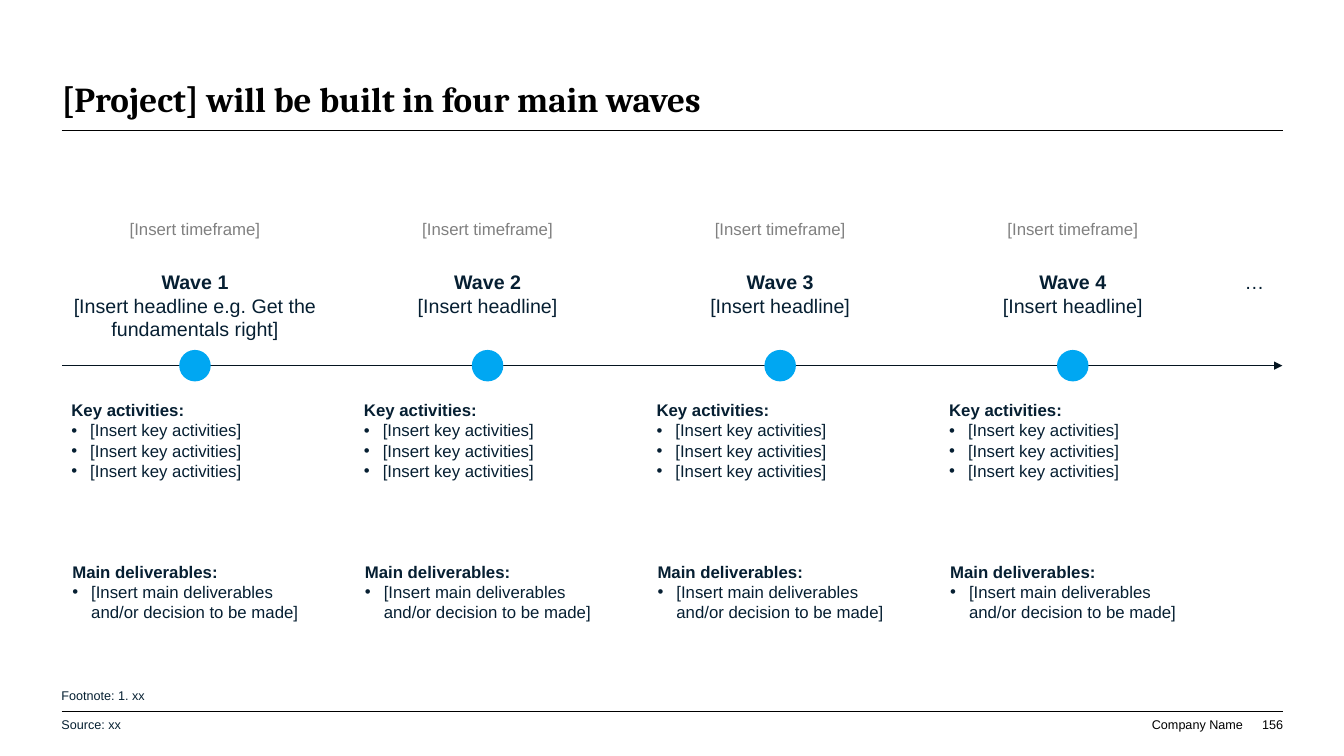
from lxml import etree
from pptx import Presentation
from pptx.dml.color import RGBColor
from pptx.enum import shapes, text
from pptx.oxml import ns
from pptx.util import Pt

HUES = {"black": "000000", "navy": "061F32", "note": "062032",
        "axis": "041420", "gray": "808080", "blue": "00A7F2"}
INSET = (7.2, 3.6, 7.2, 3.6)
FLUSH = (0, 0, 0, 0)
LEFT, RIGHT = 44, 916.5
FIRST, STEP = 139.3, 209      # centre of the first wave, gap between waves
AXIS, DOT = 261.2, 22.5
HEADS = ["[Insert headline e.g. Get the fundamentals right]"] + ["[Insert headline]"] * 3
LISTS = [
    (-95.4, 282.2, "Key activities:", ["[Insert key activities]"] * 3),
    (-94.7, 397.7, "Main deliverables:",
     ["[Insert main deliverables and/or decision to be made]"]),
]


def color(name):
    return RGBColor.from_string(HUES[name])


def add_bullet(para):
    props = para._p.get_or_add_pPr()
    props.set("marL", str(Pt(13.5)))
    props.set("indent", str(-Pt(13.5)))
    font = etree.SubElement(props, ns.qn("a:buFont"))
    font.set("typeface", "Arial")
    mark = etree.SubElement(props, ns.qn("a:buChar"))
    mark.set("char", "•")


def add_text(slide, box, lines, size, hue, face="Arial", align="LEFT",
             anchor="TOP", inset=INSET, wrap=True):
    """Each line is a tuple: words, bold, bullet."""
    frame = slide.shapes.add_textbox(*map(Pt, box)).text_frame
    left, top, right, low = map(Pt, inset)
    form = {"word_wrap": wrap, "vertical_anchor": getattr(text.MSO_ANCHOR, anchor),
            "margin_left": left, "margin_top": top,
            "margin_right": right, "margin_bottom": low}
    for key, value in form.items():
        setattr(frame, key, value)
    for i, (words, bold, bullet) in enumerate(lines):
        para = frame.add_paragraph() if i else frame.paragraphs[0]
        para.alignment = getattr(text.PP_ALIGN, align)
        if bullet:
            add_bullet(para)
        run = para.add_run()
        run.text = words
        for key, value in {"name": face, "size": Pt(size), "bold": bold}.items():
            setattr(run.font, key, value)
        run.font.color.rgb = color(hue)


def add_line(slide, start, end, y, hue, width, arrow=False):
    line = slide.shapes.add_connector(
        shapes.MSO_CONNECTOR.STRAIGHT, Pt(start), Pt(y), Pt(end), Pt(y))
    line.line.color.rgb = color(hue)
    line.line.width = Pt(width)
    if arrow:
        head = etree.SubElement(line.line._get_or_add_ln(), ns.qn("a:headEnd"))
        head.set("type", "triangle")
    etree.SubElement(line._element.spPr, ns.qn("a:effectLst"))


def add_dot(slide, mid):
    dot = slide.shapes.add_shape(
        shapes.MSO_SHAPE.OVAL, Pt(mid - DOT / 2), Pt(AXIS - DOT / 2), Pt(DOT), Pt(DOT))
    dot.shadow.inherit = False
    dot.fill.solid()
    dot.fill.fore_color.rgb = color("blue")
    dot.line.fill.background()


def add_wave(slide, num, head):
    mid = FIRST + STEP * num
    add_text(slide, (mid - 62.5, 152.6, 125, 21.6),
             [("[Insert timeframe]", False, False)], 12, "gray", align="CENTER")
    add_text(slide, (mid - 100.5, 189.4, 201, 47.5),
             [(f"Wave {num + 1}", True, False), (head, False, False)],
             14, "navy", align="CENTER")
    add_dot(slide, mid)
    for shift, top, title, items in LISTS:
        lines = [(title, True, False)] + [(item, False, True) for item in items]
        add_text(slide, (mid + shift, top, 191.5, 90.7), lines, 12, "navy")


def main():
    deck = Presentation()
    deck.slide_width, deck.slide_height = Pt(960), Pt(540)
    slide = deck.slides.add_slide(deck.slide_layouts[6])

    # Title and rules
    add_text(slide, (LEFT, 28, 872.5, 57.6),
             [("[Project] will be built in four main waves", True, False)],
             25, "black", face="Cambria", anchor="BOTTOM", inset=FLUSH)
    for y in (93.2, 508.2):
        add_line(slide, LEFT, RIGHT, y, "black", 0.5)

    # Timeline
    add_line(slide, 916, 44.5, AXIS, "axis", 0.75, arrow=True)
    for num, head in enumerate(HEADS):
        add_wave(slide, num, head)
    add_text(slide, (795.6, 189.4, 201, 47.5), [("…", False, False)],
             14, "navy", align="CENTER")

    # Footer
    for top, width, words in ((482.4, 739.5, "Footnote: 1. xx"),
                              (503.3, 574.5, "Source: xx")):
        add_text(slide, (36.8, top, width, 28.8), [(words, False, False)],
                 9, "note", anchor="MIDDLE")
    for left, width, words, wrap in ((822.3, 65.5, "Company Name", False),
                                     (890.6, 25.9, "156", True)):
        add_text(slide, (left, 512, width, 10.8), [(words, False, False)], 9, "black",
                 align="RIGHT", anchor="BOTTOM", inset=FLUSH, wrap=wrap)

    deck.save("out.pptx")


if __name__ == "__main__":
    main()
